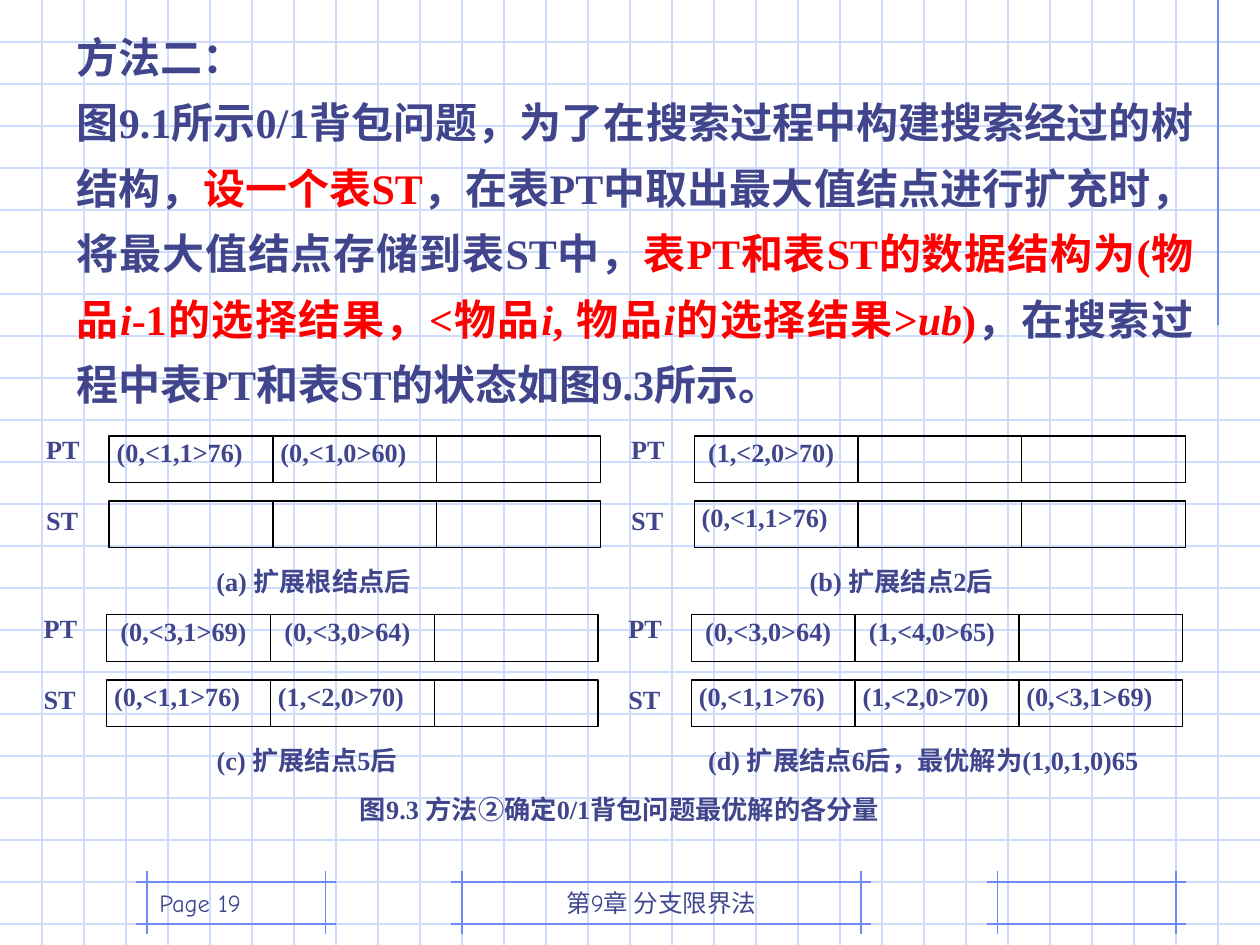
from dataclasses import dataclass

from lxml import etree
from pptx import Presentation
from pptx.dml.color import RGBColor
from pptx.enum.shapes import MSO_CONNECTOR, MSO_SHAPE
from pptx.enum.text import MSO_ANCHOR, MSO_AUTO_SIZE, PP_ALIGN
from pptx.oxml.ns import qn
from pptx.util import Inches, Pt

STRAIGHT = MSO_CONNECTOR.STRAIGHT
RECTANGLE = MSO_SHAPE.RECTANGLE
TOP, BOTTOM = MSO_ANCHOR.TOP, MSO_ANCHOR.BOTTOM
GROW = MSO_AUTO_SIZE.SHAPE_TO_FIT_TEXT
LEFT, CENTER, JUSTIFY = PP_ALIGN.LEFT, PP_ALIGN.CENTER, PP_ALIGN.JUSTIFY

# The slide is ruled paper: every length below counts its squares.
SQUARE = Inches(1) / 3
COLUMNS, ROWS = 30, 22.5


@dataclass(frozen=True)
class Theme:
    text: RGBColor = RGBColor(0x40, 0x45, 0x8C)
    accent: RGBColor = RGBColor(0xFF, 0x00, 0x00)
    ruling: RGBColor = RGBColor(0xCF, 0xDB, 0xFD)
    frame: RGBColor = RGBColor(0x6F, 0x89, 0xF7)
    outline: RGBColor = RGBColor(0, 0, 0)
    body_font: str = "Times New Roman"
    footer_font: str = "Comic Neue"
    body_size: Pt = Pt(24)
    figure_size: Pt = Pt(15)
    footer_size: Pt = Pt(14)
    line_width: Pt = Pt(0.75)


THEME = Theme()


def squares(*counts):
    return [round(count * SQUARE) for count in counts]


def add_line(slide, start, end, color):
    line = slide.shapes.add_connector(STRAIGHT, *squares(*start, *end))
    line.line.color.rgb = color
    line.line.width = THEME.line_width
    etree.SubElement(line._element.spPr, qn("a:effectLst"))


def set_insets(frame, left=0, top=0, right=0, bottom=0):
    frame.margin_left, frame.margin_top = Inches(left), Inches(top)
    frame.margin_right, frame.margin_bottom = Inches(right), Inches(bottom)
    frame.word_wrap = True


def style_runs(paragraph, size, font=THEME.body_font, bold=True, align=JUSTIFY):
    paragraph.alignment = align
    for run in paragraph.runs:
        run.font.name, run.font.size, run.font.bold = font, size, bold
        run.font.color.rgb = THEME.text


def add_label(slide, box, text):
    """Add a figure label without insets, one paragraph for each line."""
    frame = slide.shapes.add_textbox(*squares(*box)).text_frame
    set_insets(frame)
    frame.text = text
    for paragraph in frame.paragraphs:
        style_runs(paragraph, THEME.figure_size)
    return frame


def add_ruling(slide):
    for row in range(1, int(ROWS) + 1):
        add_line(slide, (0, row), (COLUMNS, row), THEME.ruling)
    for column in range(1, COLUMNS):
        add_line(slide, (column, 0), (column, ROWS), THEME.ruling)
    add_line(slide, (29, 0), (29, 7.75), THEME.frame)


def add_footer_field(slide, left, right, text="", align=LEFT):
    """Draw a frame of four crossing lines, and its text if there is any."""
    top, bottom, overhang = 21, 22, 0.25
    for y in (top, bottom):
        add_line(slide, (left - overhang, y), (right + overhang, y), THEME.frame)
    for x in (left, right):
        add_line(slide, (x, top - overhang), (x, bottom + overhang), THEME.frame)
    if text:
        box = squares(left, top - 0.5, right - left, 1.5)
        frame = slide.shapes.add_textbox(*box).text_frame
        set_insets(frame, 0.1, 0.05, 0.1, 0.05)
        frame.vertical_anchor = BOTTOM
        frame.text = text
        style_runs(frame.paragraphs[0], THEME.footer_size, THEME.footer_font, False, align)


def add_body(slide, box, heading, pieces):
    """Place the heading and a paragraph of (text, accented, italic) pieces."""
    frame = slide.shapes.add_textbox(*squares(*box)).text_frame
    set_insets(frame, 0.1, 0.05, 0.1, 0.05)
    frame.auto_size = GROW
    frame.text = heading
    explanation = frame.add_paragraph()
    for text, _, _ in pieces:
        explanation.add_run().text = text
    for paragraph in frame.paragraphs:
        paragraph.line_spacing = 1.3
        style_runs(paragraph, THEME.body_size)
    for run, (_, accented, italic) in zip(explanation.runs, pieces):
        run.font.italic = italic
        run.font.color.rgb = THEME.accent if accented else THEME.text


def add_state_row(slide, box, inset, cells):
    """Draw a box of three cells, with the entries on tab stops."""
    left, top, width, height = box
    pitch = width / 3
    row = slide.shapes.add_shape(RECTANGLE, *squares(*box))
    row.shadow.inherit = False
    row.fill.background()
    row.line.color.rgb = THEME.outline
    row.line.width = THEME.line_width
    for x in (left + pitch, left + 2 * pitch):
        add_line(slide, (x, top), (x, top + height), THEME.outline)
    if cells:
        frame = row.text_frame
        set_insets(frame, left=inset)
        frame.vertical_anchor = TOP
        paragraph = frame.paragraphs[0]
        tabs = etree.SubElement(paragraph._p.get_or_add_pPr(), qn("a:tabLst"))
        for stop in squares(pitch, 2 * pitch):
            etree.SubElement(tabs, qn("a:tab"), pos=str(stop), algn="l")
        paragraph.text = "\t".join(cells)
        style_runs(paragraph, THEME.figure_size)


def add_state(slide, left, top, pt_row, st_row, caption, caption_indent):
    """Place one search state: labels, PT row, ST row and caption."""
    width, height = 11.7, 1.11
    labels = add_label(slide, (left - 1.5, top - 0.06, 1.02, 2.6), "PT\nST")
    labels.paragraphs[1].space_before = Pt(22.5)
    add_state_row(slide, (left, top, width, height), *pt_row)
    add_state_row(slide, (left, top + 1.55, width, height), *st_row)
    caption_box = (left + caption_indent, top + 3.08, width - caption_indent + 0.6, 1)
    add_label(slide, caption_box, caption)


def add_figure(slide):
    near, indented = 0.06, 0.11
    first, second = 10.38, 14.64
    states = [
        (2.6, first, (near, ["(0,<1,1>76)", "(0,<1,0>60)"]), (near, []),
         "(a) 扩展根结点后", 2.55),
        (16.53, first, (indented, ["(1,<2,0>70)"]), (near, ["(0,<1,1>76)"]),
         "(b) 扩展结点2后", 2.75),
        (2.54, second, (indented, ["(0,<3,1>69)", "(0,<3,0>64)"]),
         (near, ["(0,<1,1>76)", "(1,<2,0>70)"]), "(c) 扩展结点5后", 2.62),
        (16.46, second, (indented, ["(0,<3,0>64)", "(1,<4,0>65)"]),
         (near, ["(0,<1,1>76)", "(1,<2,0>70)", "(0,<3,1>69)"]),
         "(d) 扩展结点6后，最优解为(1,0,1,0)65", 0.4),
    ]
    for state in states:
        add_state(slide, *state)
    add_label(slide, (8.57, 18.88, 14, 1), "图9.3 方法②确定0/1背包问题最优解的各分量")


def main():
    presentation = Presentation()
    presentation.slide_width, presentation.slide_height = squares(COLUMNS, ROWS)
    slide = presentation.slides.add_slide(presentation.slide_layouts[6])
    add_ruling(slide)
    add_footer_field(slide, 3.5, 7.75, "Page 19")
    add_footer_field(slide, 11, 20.5, "第9章 分支限界法", CENTER)
    add_footer_field(slide, 23.75, 28)
    add_figure(slide)
    add_body(slide, (1.53, 0.24, 27.18, 9.66), "方法二：", [
        ("图9.1所示0/1背包问题，为了在搜索过程中构建搜索经过的树结构，", False, False),
        ("设一个表ST", True, False),
        ("，在表PT中取出最大值结点进行扩充时，将最大值结点存储到表ST中，", False, False),
        ("表PT和表ST的数据结构为(物品", True, False),
        ("i", True, True),
        ("-1的选择结果，<物品", True, False),
        ("i", True, True),
        (", 物品", True, False),
        ("i", True, True),
        ("的选择结果>", True, False),
        ("ub", True, True),
        (")", True, False),
        ("，在搜索过程中表PT和表ST的状态如图9.3所示。", False, False),
    ])
    presentation.save("out.pptx")


if __name__ == "__main__":
    main()
